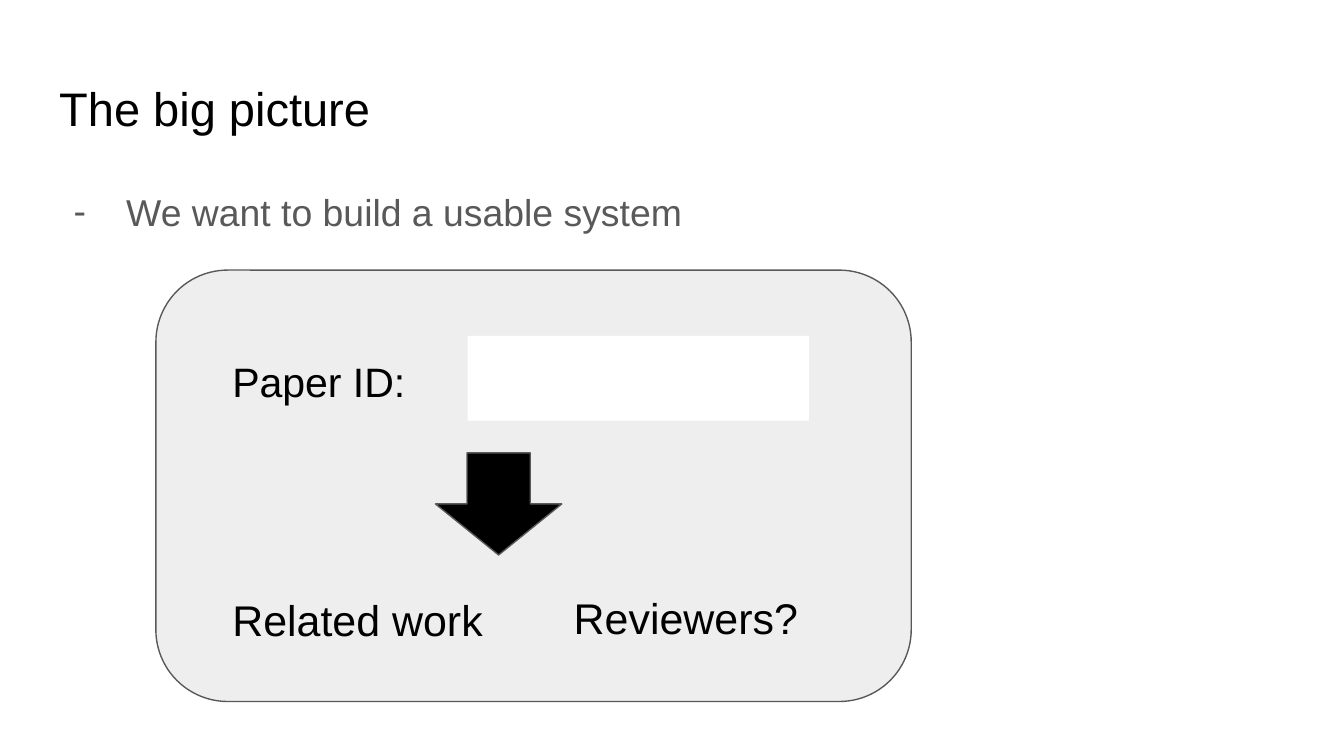
from lxml import etree
from pptx import Presentation
from pptx import util as u
from pptx.dml.color import RGBColor
from pptx.enum import shapes, text
from pptx.oxml.ns import qn

FONT = "Arial"
BLACK, GREY, PANEL, WHITE = "000000", "595959", "EEEEEE", "FFFFFF"


def color(value):
    return RGBColor.from_string(value)


def place(shape, left, top, width, height):
    shape.left, shape.top = u.Inches(left), u.Inches(top)
    shape.width, shape.height = u.Inches(width), u.Inches(height)


def write(shape, words, size, font_color=BLACK):
    frame = shape.text_frame
    frame.word_wrap = True
    frame.auto_size = text.MSO_AUTO_SIZE.NONE
    frame.vertical_anchor = text.MSO_ANCHOR.TOP
    frame.margin_left = frame.margin_right = u.Inches(0.1)
    frame.margin_top = frame.margin_bottom = u.Inches(0.1)
    frame.text = words
    paragraph = frame.paragraphs[0]
    paragraph.alignment = text.PP_ALIGN.LEFT
    font = paragraph.runs[0].font
    font.name, font.size = FONT, u.Pt(size)
    font.color.rgb = color(font_color)
    return paragraph


def add_title(slide, words):
    title = slide.shapes.title
    place(title, 0.34, 0.49, 9.32, 0.63)
    write(title, words, 25.2).line_spacing = 1.0


def add_label(slide, words, left, top, width, size):
    box = slide.shapes.add_textbox(0, 0, 0, 0)
    place(box, left, top, width, 0.63)
    write(box, words, size)


def add_dash_item(slide, words):
    box = slide.shapes.add_textbox(0, 0, 0, 0)
    place(box, 0.34, 1.26, 9.32, 3.74)
    paragraph = write(box, words, 20, GREY)
    paragraph.line_spacing = 1.15
    properties = paragraph._p.get_or_add_pPr()
    properties.set("marL", str(u.Inches(0.5)))
    properties.set("indent", str(u.Inches(-0.39)))
    bullet_color = etree.SubElement(properties, qn("a:buClr"))
    etree.SubElement(bullet_color, qn("a:srgbClr"), val=GREY)
    etree.SubElement(properties, qn("a:buFont"), typeface=FONT)
    etree.SubElement(properties, qn("a:buChar"), char="-")


def add_figure(slide, kind, left, top, width, height, fill, line=None):
    shape = slide.shapes.add_shape(kind, 0, 0, 0, 0)
    place(shape, left, top, width, height)
    shape.shadow.inherit = False
    shape.fill.solid()
    shape.fill.fore_color.rgb = color(fill)
    if line:
        shape.line.color.rgb = color(line)
        shape.line.width = u.Pt(0.75)
    else:
        shape.line.fill.background()


def main():
    presentation = Presentation()
    presentation.slide_width = u.Inches(10)
    presentation.slide_height = presentation.slide_width * 9 // 16
    slide = presentation.slides.add_slide(presentation.slide_layouts[5])
    slide.background.fill.solid()
    slide.background.fill.fore_color.rgb = color(WHITE)
    kinds = shapes.MSO_SHAPE

    add_title(slide, "The big picture")
    add_dash_item(slide, "We want to build a usable system")
    add_figure(slide, kinds.ROUNDED_RECTANGLE, 1.16, 2.01, 5.62, 3.21, PANEL, GREY)
    add_figure(slide, kinds.RECTANGLE, 3.48, 2.5, 2.54, 0.63, WHITE)
    add_label(slide, "Paper ID:", 1.63, 2.55, 1.85, 22)
    add_figure(slide, kinds.DOWN_ARROW, 3.24, 3.37, 0.94, 0.76, BLACK, GREY)
    add_label(slide, "Related work", 1.63, 4.32, 2.32, 23)
    add_label(slide, "Reviewers?", 4.17, 4.3, 2.32, 23)

    presentation.save("out.pptx")


if __name__ == "__main__":
    main()
